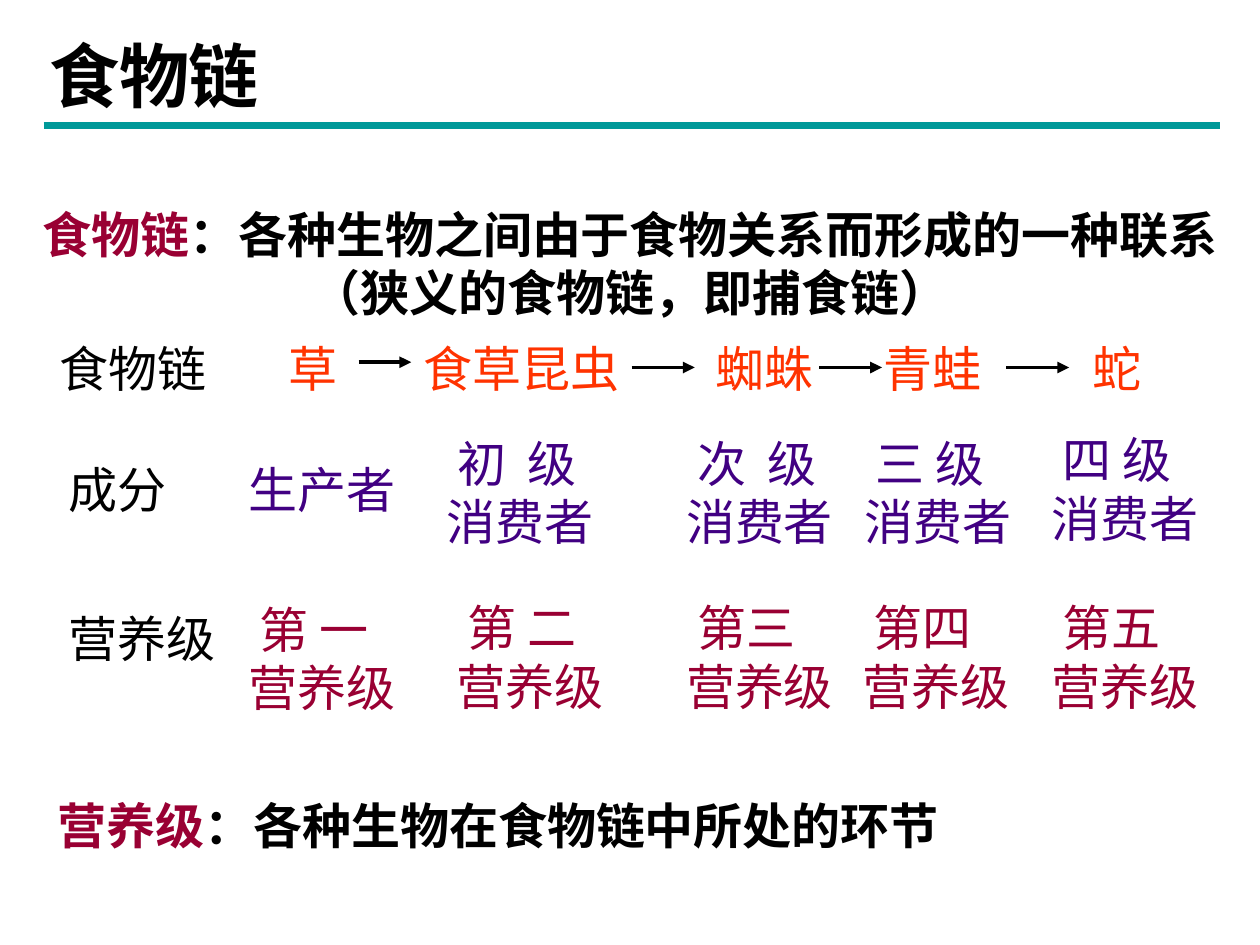
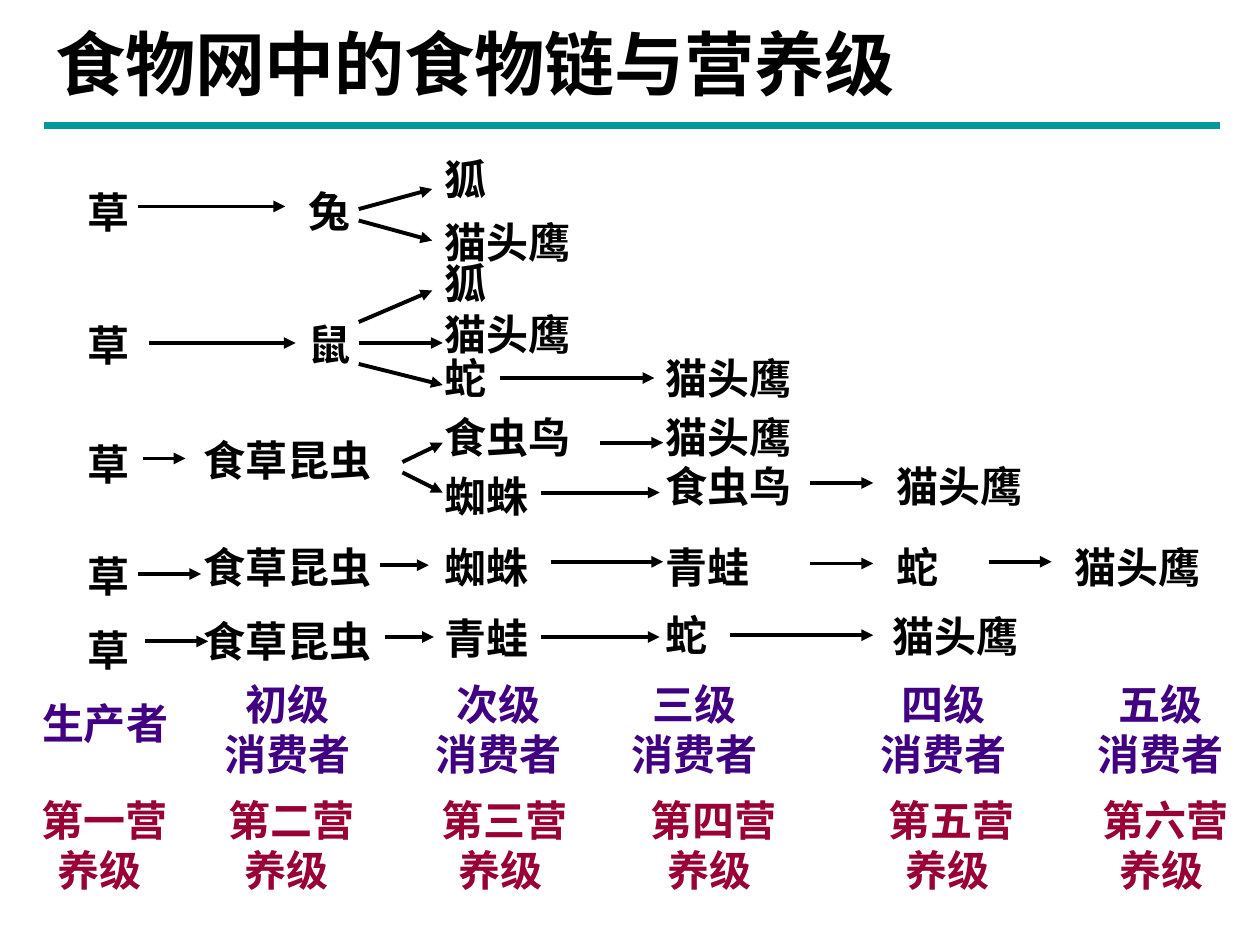
from dataclasses import dataclass

from lxml import etree
from pptx import Presentation
from pptx import util as u
from pptx.dml.color import RGBColor
from pptx.enum import shapes, text
from pptx.oxml import ns


@dataclass(frozen=True)
class Theme:
    black: str = "000000"
    teal: str = "009999"
    orange: str = "FF3300"
    purple: str = "410082"
    crimson: str = "990033"
    title_font: str = "Noto Sans CJK SC"
    body_font: str = "Noto Sans CJK JP"
    latin_font: str = "Times New Roman"
    title_size: int = 40
    body_size: int = 28
    web_size: int = 24
    leading: float = 1.19
    rule_width: float = 4
    arrow_width: float = 2.25


THEME = Theme()
TITLE = dict(size=THEME.title_size, name=THEME.title_font, bold=True)
BODY = dict(size=THEME.body_size, name=THEME.body_font, bold=False)
STATEMENT = dict(size=THEME.body_size, name=THEME.title_font, bold=True)
WEB = dict(size=THEME.web_size, name=THEME.latin_font, bold=True)
LEVEL = dict(size=THEME.web_size, name=THEME.body_font, bold=True)
LEFT, CENTER = text.PP_ALIGN.LEFT, text.PP_ALIGN.CENTER


# Shared parts
def style_span(span, style, color, spacing=0):
    values = dict(style, size=u.Pt(style["size"]))
    for key, value in values.items():
        setattr(span.font, key, value)
    span.font.color.rgb = RGBColor.from_string(color)
    props = span._r.get_or_add_rPr()
    if spacing:
        props.set("spc", str(spacing * 100))
    east = THEME.title_font if style["name"] == THEME.latin_font else style["name"]
    etree.SubElement(props, ns.qn("a:ea")).set("typeface", east)


def add_text(page, box, parts, style, align=LEFT, indent=0, spacing=0, wrap=True):
    """Parts are (words, color) pairs; a newline in the words breaks the line."""
    shape = page.shapes.add_textbox(*(u.Pt(value) for value in box))
    frame = shape.text_frame
    frame.word_wrap = wrap
    frame.margin_top = u.Pt(5)
    para = frame.paragraphs[0]
    para.alignment = align
    para.line_spacing = u.Pt(round(style["size"] * THEME.leading, 1))
    if indent:
        props = para._p.get_or_add_pPr()
        props.set("marL", "0")
        props.set("indent", str(u.Pt(indent)))
    for words, color in parts:
        for number, line in enumerate(words.split("\n")):
            if number:
                para.add_line_break()
            span = para.add_run()
            span.text = line
            style_span(span, style, color, 0 if number else spacing)


def add_line(page, start, end, color, width, arrow=False):
    points = (u.Pt(value) for value in (*start, *end))
    line = page.shapes.add_connector(shapes.MSO_CONNECTOR.STRAIGHT, *points)
    line.line.color.rgb = RGBColor.from_string(color)
    line.line.width = u.Pt(width)
    if arrow:
        outline = line.line._get_or_add_ln()
        etree.SubElement(outline, ns.qn("a:tailEnd")).set("type", "triangle")
    etree.SubElement(line._element.spPr, ns.qn("a:effectLst"))


def add_arrows(page, origin, arrows):
    left, top = origin
    for x1, y1, x2, y2 in arrows:
        add_line(page, (left + x1, top + y1), (left + x2, top + y2),
                 THEME.black, THEME.arrow_width, arrow=True)


def add_header(page, title, left, top):
    add_line(page, (25, 71.5), (697, 71.5), THEME.teal, THEME.rule_width)
    add_text(page, (left, top, 612, 55), [(title, THEME.black)], TITLE)


# Slide 1: one chain, read across three rows
def add_statement(page, box, term, meaning, align=LEFT):
    parts = [(term, THEME.crimson), (meaning, THEME.black)]
    add_text(page, box, parts, STATEMENT, align)


def add_row_labels(page, box):
    left, top, width, height = box
    for label, x, y in (("食物链", 0, 0), ("成分", 5, 69), ("营养级", 5, 154)):
        add_text(page, (left + x, top + y, width, height), [(label, THEME.black)], BODY)


def add_chain(page, box):
    left, top, height = box
    for name, x in (("草", 0), ("食草昆虫", 77), ("蜘蛛", 244), ("青蛙", 340), ("蛇", 459)):
        width = len(name) * THEME.body_size + 16
        add_text(page, (left + x, top, width, height), [(name, THEME.orange)], BODY)
    add_arrows(page, (left, top), [(47, 18, 77, 18)] + [
        (x, 21, x + 36, 21) for x in (203, 310, 417)])


def add_stage_row(page, box, color, stages):
    """Each stage is words, left, top and the letter spacing of its first line."""
    left, top, width, height = box
    for words, x, y, spacing in stages:
        indent = 6.3 if "\n" in words else 0
        add_text(page, (left + x, top + y, width, height), [(words, color)], BODY,
                 indent=indent, spacing=spacing)


def build_chain_page(page):
    add_header(page, "食物链", 21, 14)
    add_statement(page, (0, 112, 720, 75), "食物链",
                  "：各种生物之间由于食物关系而形成的一种联系（狭义的食物链，即捕食链）", CENTER)
    add_row_labels(page, (27, 189, 113, 41))
    add_chain(page, (158, 189, 41))
    add_stage_row(page, (135, 241, 108, 74), THEME.purple, [
        ("生产者", 0, 17, 0), ("初 级\n消费者", 113, 2, 3), ("次 级\n消费者", 250, 2, 3),
        ("三 级\n消费者", 352, 2, 0), ("四 级\n消费者", 459, 0, 0)])
    add_stage_row(page, (135, 337, 114, 74), THEME.crimson, [
        ("第 一\n营养级", 0, 1, 0), ("第 二\n营养级", 119, 0, 0), ("第三\n营养级", 250, 0, 0),
        ("第四\n营养级", 351, 0, 0), ("第五\n营养级", 459, 0, 0)])
    add_statement(page, (26, 450, 606, 41), "营养级", "：各种生物在食物链中所处的环节")


# Slide 2: several chains side by side, then the levels they share
def add_web(page, origin):
    left, top = origin
    species = {
        0: [("草", 22), ("草", 98), ("草", 166), ("草", 230), ("草", 272)],
        66: [("食草昆虫", 163.5), ("食草昆虫", 224.5), ("食草昆虫", 267)],
        126: [("兔", 21), ("鼠", 97)],
        204: [("狐", 3), ("猫头鹰", 39), ("狐", 62.5), ("猫头鹰", 91.5), ("蛇", 116.5),
              ("食虫鸟", 150.5), ("蜘蛛", 184), ("蜘蛛", 224.5), ("青蛙", 265)],
        330: [("猫头鹰", 116.5), ("猫头鹰", 150.5), ("食虫鸟", 178.5), ("青蛙", 224.5),
              ("蛇", 263.5)],
        462: [("猫头鹰", 178.5), ("蛇", 224.5)],
        460: [("猫头鹰", 264)],
        564: [("猫头鹰", 224.5)],
    }
    for x, names in species.items():
        for name, y in names:
            width = len(name) * THEME.web_size + 15
            add_text(page, (left + x, top + y, width, 37), [(name, THEME.black)], WEB,
                     wrap=False)
    rabbit = [(36, 38, 120, 38), (162, 39.5, 204, 28), (162, 46, 204, 57.5)]
    mouse = [(42, 116, 126, 116), (162, 104, 204, 86), (162, 116, 210, 116),
             (162, 128, 210, 140), (243, 136, 331, 136)]
    insect = [(39, 182, 63, 182), (187, 184, 210, 173), (187, 190, 210, 201.5),
              (300, 173, 336, 173), (266, 201.5, 334, 201.5), (420, 196, 456, 196)]
    spider = [(36, 248, 72, 248), (174, 243, 202, 243), (272, 241, 336, 241),
              (420, 242, 456, 242), (522, 241, 558, 241)]
    frog = [(40, 286.5, 76, 286.5), (177, 284, 205, 284), (266, 284, 334, 284),
            (374, 283, 456, 283)]
    add_arrows(page, origin, rabbit + mouse + insect + spider + frog)


def add_levels(page, origin):
    left, top = origin
    roles = [("生产者", 60, 11)] + [
        (f"{rank}级\n消费者", center, 0)
        for rank, center in zip("初次三四五", (164.5, 285, 397, 539, 663))]
    for words, center, y in roles:
        add_text(page, (left + center - 43.5, top + y, 87, 66), [(words, THEME.purple)],
                 WEB, CENTER, wrap=False)
    for rank, center in zip("一二三四五六", (57, 164, 286, 405.5, 541.5, 663.5)):
        add_text(page, (left + center - 51, top + 66, 102, 66),
                 [(f"第{rank}营养级", THEME.crimson)], LEVEL, CENTER, indent=5)


def build_web_page(page):
    add_header(page, "食物网中的食物链与营养级", 24.5, 7)
    add_web(page, (43, 80))
    add_levels(page, (0, 383))


def main():
    deck = Presentation()
    deck.slide_width, deck.slide_height = u.Pt(720), u.Pt(540)
    for build in (build_chain_page, build_web_page):
        build(deck.slides.add_slide(deck.slide_layouts[6]))
    deck.save("out.pptx")


if __name__ == "__main__":
    main()
